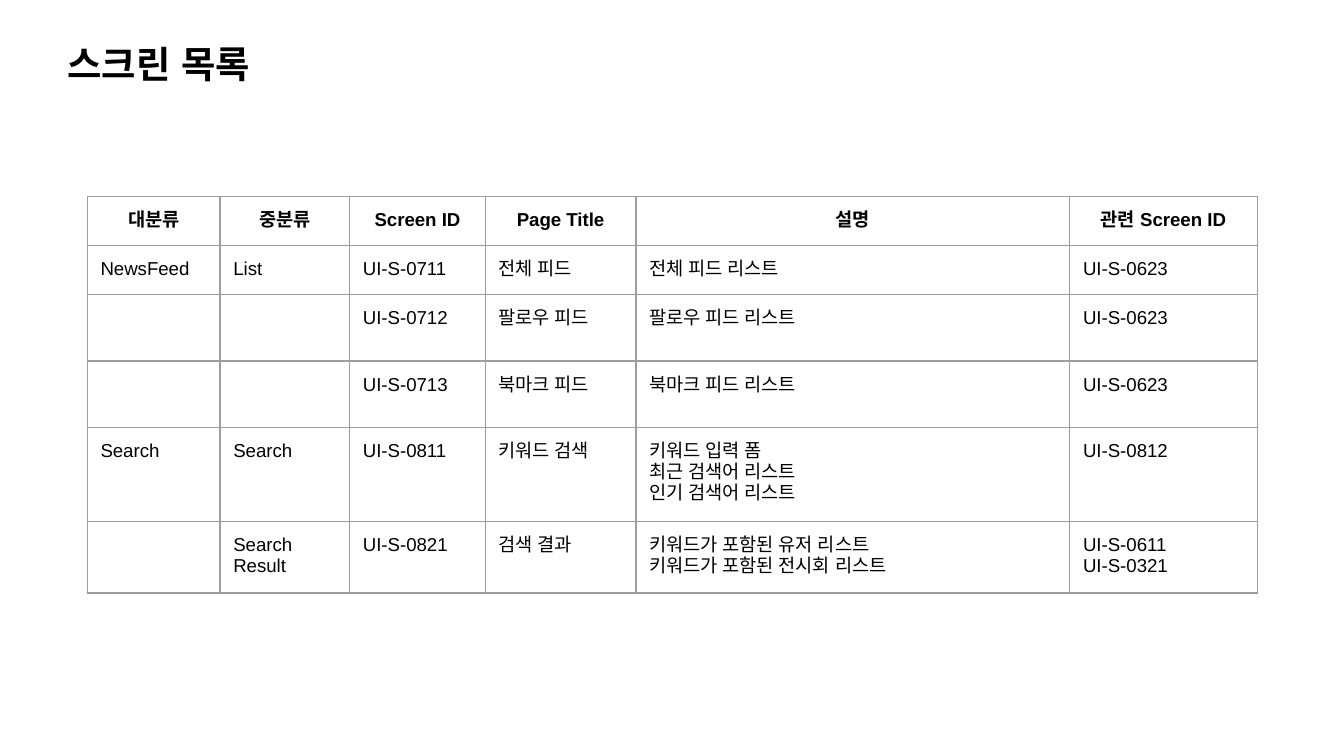
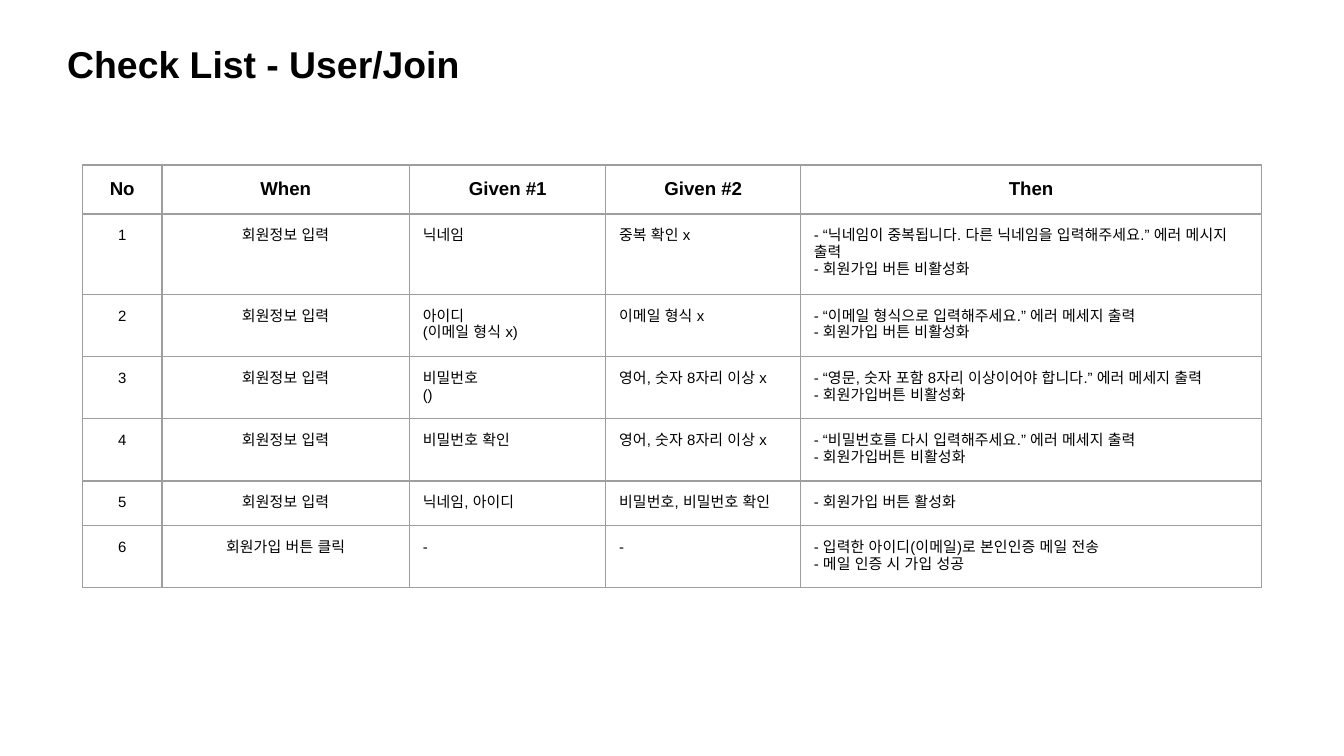
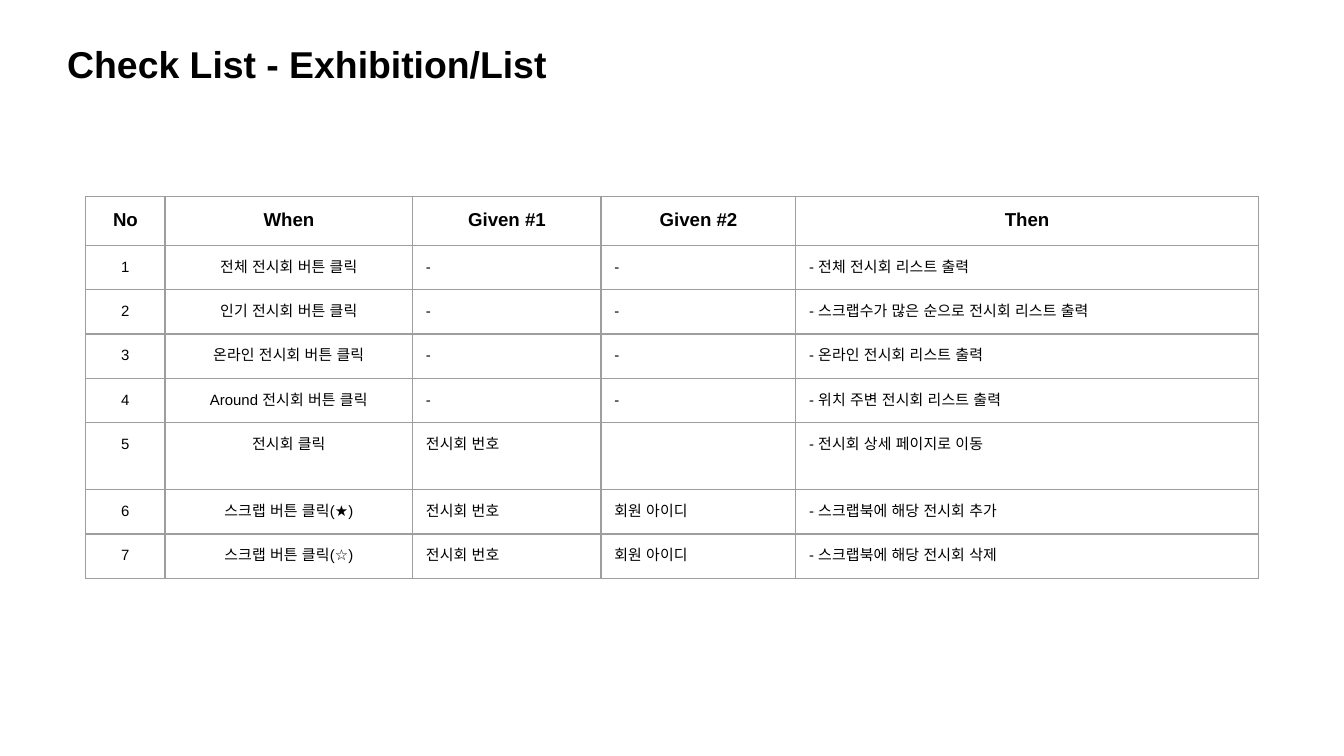
from dataclasses import dataclass

from lxml import etree
from pptx import Presentation
from pptx.dml.color import RGBColor
from pptx.enum.text import MSO_ANCHOR, MSO_AUTO_SIZE, PP_ALIGN
from pptx.oxml.ns import qn
from pptx.util import Cm, Pt

LEFT, MID = PP_ALIGN.LEFT, PP_ALIGN.CENTER
TOP = MSO_ANCHOR.TOP
GROW = MSO_AUTO_SIZE.SHAPE_TO_FIT_TEXT
TITLE_ONLY = 5


@dataclass(frozen=True)
class Theme:
    font: str = "Arial"
    ink: str = "000000"
    rule: str = "9E9E9E"
    title: int = 20
    head: int = 10
    list: int = 10
    check: int = 8
    line: float = 0.75
    pad: float = 0.25
    row: float = 0.79


class Deck:
    def __init__(self, theme):
        self.theme = theme
        self.prs = Presentation()
        self.prs.slide_width = Cm(25.4)
        self.prs.slide_height = Cm(14.29)
        self.slide = None

    def page(self, title):
        """Add a slide with its title."""
        self.slide = self.prs.slides.add_slide(
            self.prs.slide_layouts[TITLE_ONLY])
        box = self.slide.shapes.title
        box.left, box.top = Cm(1.02), Cm(0.53)
        box.width, box.height = Cm(11.84), Cm(1.37)
        frame = box.text_frame
        frame.word_wrap = True
        frame.auto_size = GROW
        frame.vertical_anchor = TOP
        self.inset(frame)
        self.text(frame, title, self.theme.title, True, LEFT)

    def inset(self, item):
        item.margin_left = item.margin_right = Cm(self.theme.pad)
        item.margin_top = item.margin_bottom = Cm(self.theme.pad)

    def text(self, frame, text, size, bold, align):
        """Write one paragraph for each line of the text."""
        for i, line in enumerate(text.split("\n")):
            para = frame.add_paragraph() if i else frame.paragraphs[0]
            para.alignment = align
            run = para.add_run()
            run.text = line
            font = run.font
            font.size, font.bold = Pt(size), bold
            font.color.rgb = RGBColor.from_string(self.theme.ink)
            font.name = self.theme.font
            for tag in ("a:ea", "a:cs"):
                etree.SubElement(run._r.rPr, qn(tag),
                                 typeface=self.theme.font)

    def border(self, cell):
        props = cell._tc.get_or_add_tcPr()
        for side in ("a:lnL", "a:lnR", "a:lnT", "a:lnB"):
            line = etree.SubElement(props, qn(side),
                                    w=str(Pt(self.theme.line)))
            fill = etree.SubElement(line, qn("a:solidFill"))
            etree.SubElement(fill, qn("a:srgbClr"), val=self.theme.rule)

    def table(self, left, top, widths, rows, size, mids=0):
        """Add a ruled table; its first `mids` columns are centred."""
        height = Cm(self.theme.row)
        grid = self.slide.shapes.add_table(
            len(rows), len(widths), Cm(left), Cm(top),
            Cm(sum(widths)), height * len(rows)).table
        grid.first_row = grid.horz_banding = False
        for col, width in zip(grid.columns, widths):
            col.width = Cm(width)
        for r, row in enumerate(rows):
            grid.rows[r].height = height
            head = r == 0
            for c, text in enumerate(row):
                cell = grid.cell(r, c)
                self.inset(cell)
                cell.vertical_anchor = TOP
                self.border(cell)
                cell.fill.background()
                if text:
                    self.text(cell.text_frame, text,
                              self.theme.head if head else size, head,
                              MID if head or c < mids else LEFT)

    def checks(self, left, top, widths, rows):
        """Add a check list with numbered rows."""
        body = [(str(n), *row) for n, row in enumerate(rows, 1)]
        self.table(left, top, widths, [CHECK_HEAD, *body],
                   self.theme.check, mids=2)


CHECK_HEAD = ("No", "When", "Given #1", "Given #2", "Then")

SCREENS = [
    ("대분류", "중분류", "Screen ID", "Page Title", "설명", "관련 Screen ID"),
    ("NewsFeed", "List", "UI-S-0711", "전체 피드", "전체 피드 리스트",
     "UI-S-0623"),
    ("", "", "UI-S-0712", "팔로우 피드", "팔로우 피드 리스트", "UI-S-0623"),
    ("", "", "UI-S-0713", "북마크 피드", "북마크 피드 리스트", "UI-S-0623"),
    ("Search", "Search", "UI-S-0811", "키워드 검색",
     "키워드 입력 폼\n최근 검색어 리스트\n인기 검색어 리스트", "UI-S-0812"),
    ("", "Search Result", "UI-S-0821", "검색 결과",
     "키워드가 포함된 유저 리스트\n키워드가 포함된 전시회 리스트",
     "UI-S-0611\nUI-S-0321"),
]

FORM = "회원정보 입력"
RULE = "영어, 숫자 8자리 이상 x"
JOIN = [
    (FORM, "닉네임", "중복 확인 x",
     "- “닉네임이 중복됩니다. 다른 닉네임을 입력해주세요.” 에러 메시지 출력\n"
     "- 회원가입 버튼 비활성화"),
    (FORM, "아이디\n(이메일 형식 x)", "이메일 형식 x",
     "- “이메일 형식으로 입력해주세요.” 에러 메세지 출력\n"
     "- 회원가입 버튼 비활성화"),
    (FORM, "비밀번호\n()", RULE,
     "- “영문, 숫자 포함 8자리 이상이어야 합니다.” 에러 메세지 출력\n"
     "- 회원가입버튼 비활성화"),
    (FORM, "비밀번호 확인", RULE,
     "- “비밀번호를 다시 입력해주세요.” 에러 메세지 출력\n"
     "- 회원가입버튼 비활성화"),
    (FORM, "닉네임, 아이디", "비밀번호, 비밀번호 확인",
     "- 회원가입 버튼 활성화"),
    ("회원가입 버튼 클릭", "-", "-",
     "- 입력한 아이디(이메일)로 본인인증 메일 전송\n- 메일 인증 시 가입 성공"),
]

SHOWS = [
    ("전체 전시회 버튼 클릭", "-", "-", "- 전체 전시회 리스트 출력"),
    ("인기 전시회 버튼 클릭", "-", "-",
     "- 스크랩수가 많은 순으로 전시회 리스트 출력"),
    ("온라인 전시회 버튼 클릭", "-", "-", "- 온라인 전시회 리스트 출력"),
    ("Around 전시회 버튼 클릭", "-", "-", "- 위치 주변 전시회 리스트 출력"),
    ("전시회 클릭", "전시회 번호", "", "- 전시회 상세 페이지로 이동"),
    ("스크랩 버튼 클릭(★)", "전시회 번호", "회원 아이디",
     "- 스크랩북에 해당 전시회 추가"),
    ("스크랩 버튼 클릭(☆)", "전시회 번호", "회원 아이디",
     "- 스크랩북에 해당 전시회 삭제"),
]


def main():
    deck = Deck(Theme())

    # Screen list
    deck.page("스크린 목록")
    deck.table(1.65, 3.71, (2.51, 2.45, 2.56, 2.85, 8.2, 3.54), SCREENS,
               deck.theme.list)

    # Sign-up checks
    deck.page("Check List - User/Join")
    deck.checks(1.56, 3.12, (1.5, 4.68, 3.71, 3.68, 8.71), JOIN)

    # Exhibition checks
    deck.page("Check List - Exhibition/List")
    deck.checks(1.62, 3.71, (1.5, 4.68, 3.56, 3.68, 8.74), SHOWS)

    deck.prs.save("out.pptx")


if __name__ == "__main__":
    main()
